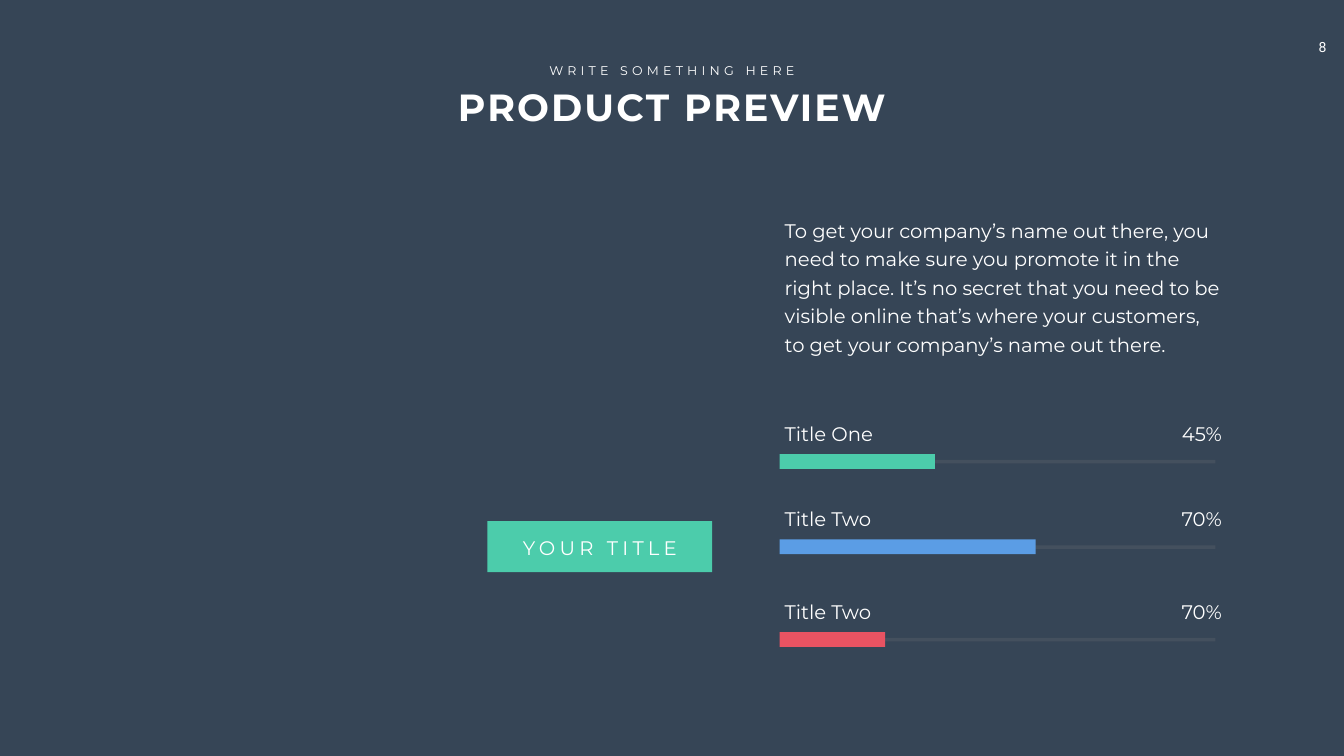
import pptx
import pptx.util
import pptx.dml.color
import pptx.enum.shapes
import pptx.enum.text
import lxml.etree
from pptx.util import Cm
from pptx.oxml.ns import qn

WHITE, GREEN, BLUE, RED, GRAY = "FFFFFF", "4CCCAB", "5B9DE5", "E95362", "808080"
LEFT = 39.29
ALIGN = pptx.enum.text.PP_ALIGN
BODY = (
    "To get your company’s name out there, you need to make sure you promote "
    "it in the right place. It’s no secret that you need to be visible online "
    "that’s where your customers, to get your company’s name out there."
)
ROWS = [
    (21.13, "Title One", "45%", 7.82, GREEN),
    (25.43, "Title Two", "70%", 12.9, BLUE),
    (30.1, "Title Two", "70%", 5.31, RED),
]


def paint(color, code):
    color.rgb = pptx.dml.color.RGBColor.from_string(code)


def place(shape, box):
    shape.left, shape.top, shape.width, shape.height = map(Cm, box)


def write(shape, text, size=28, font="Montserrat", color=WHITE, bold=False,
          align=ALIGN.LEFT, gap=0, lead=None, wrap=True):
    frame = shape.text_frame
    frame.word_wrap = wrap
    frame.auto_size = pptx.enum.text.MSO_AUTO_SIZE.NONE
    frame.vertical_anchor = pptx.enum.text.MSO_ANCHOR.TOP
    para = frame.paragraphs[0]
    para.alignment = align
    if lead:
        para.line_spacing = pptx.util.Pt(lead)
    run = para.add_run()
    run.text = text
    run.font.size = pptx.util.Pt(size)
    run.font.name = font
    run.font.bold = bold
    paint(run.font.color, color)
    if gap:
        run.font._element.set("spc", str(gap * 100))


def label(slide, box, text, **style):
    write(slide.shapes.add_textbox(*map(Cm, box)), text, **style)


def block(slide, box, code):
    kind = pptx.enum.shapes.MSO_SHAPE.RECTANGLE
    shape = slide.shapes.add_shape(kind, *map(Cm, box))
    shape.shadow.inherit = False
    shape.fill.solid()
    paint(shape.fill.fore_color, code)
    shape.line.fill.background()


def track(slide, left, right, top):
    kind = pptx.enum.shapes.MSO_CONNECTOR.STRAIGHT
    line = slide.shapes.add_connector(kind, Cm(left), Cm(top), Cm(right), Cm(top))
    line.line.width = pptx.util.Pt(5)
    paint(line.line.color, GRAY)
    props = line._element.spPr
    tint = next(props.iter(qn("a:srgbClr")))
    lxml.etree.SubElement(tint, qn("a:alpha")).set("val", "20000")
    lxml.etree.SubElement(props, qn("a:effectLst"))


def meter(slide, top, name, share, width, code):
    label(slide, (LEFT, top, 5.82, 1.45), name)
    label(slide, (58.24, top, 3.58, 1.45), share, align=ALIGN.RIGHT)
    track(slide, LEFT, 61.24, top + 2.14)
    block(slide, (LEFT, top + 1.76, width, 0.74), code)


def main():
    deck = pptx.Presentation()
    deck.slide_width, deck.slide_height = Cm(67.72), Cm(38.1)
    slide = deck.slides.add_slide(deck.slide_layouts[5])
    slide.background.fill.solid()
    paint(slide.background.fill.fore_color, "364556")

    title = slide.shapes.title
    place(title, (18.72, 4.09, 30.28, 2.57))
    write(title, "PRODUCT PREVIEW", size=54, bold=True, align=ALIGN.CENTER, gap=3)
    label(slide, (27.28, 3.05, 13.16, 1.02), "WRITE SOMETHING HERE", size=18,
          align=ALIGN.CENTER, gap=6, wrap=False)
    label(slide, (65.49, 1.83, 2.31, 1.37), "8", size=20, font="Roboto",
          align=ALIGN.CENTER, wrap=False)

    block(slide, (24.56, 26.26, 11.33, 2.57), GREEN)
    label(slide, (22.94, 26.87, 14.58, 1.45), "YOUR TITLE",
          align=ALIGN.CENTER, gap=6)

    label(slide, (LEFT, 10.64, 22.5, 7.44), BODY, lead=40.8)
    for row in ROWS:
        meter(slide, *row)
    deck.save("out.pptx")


if __name__ == "__main__":
    main()
